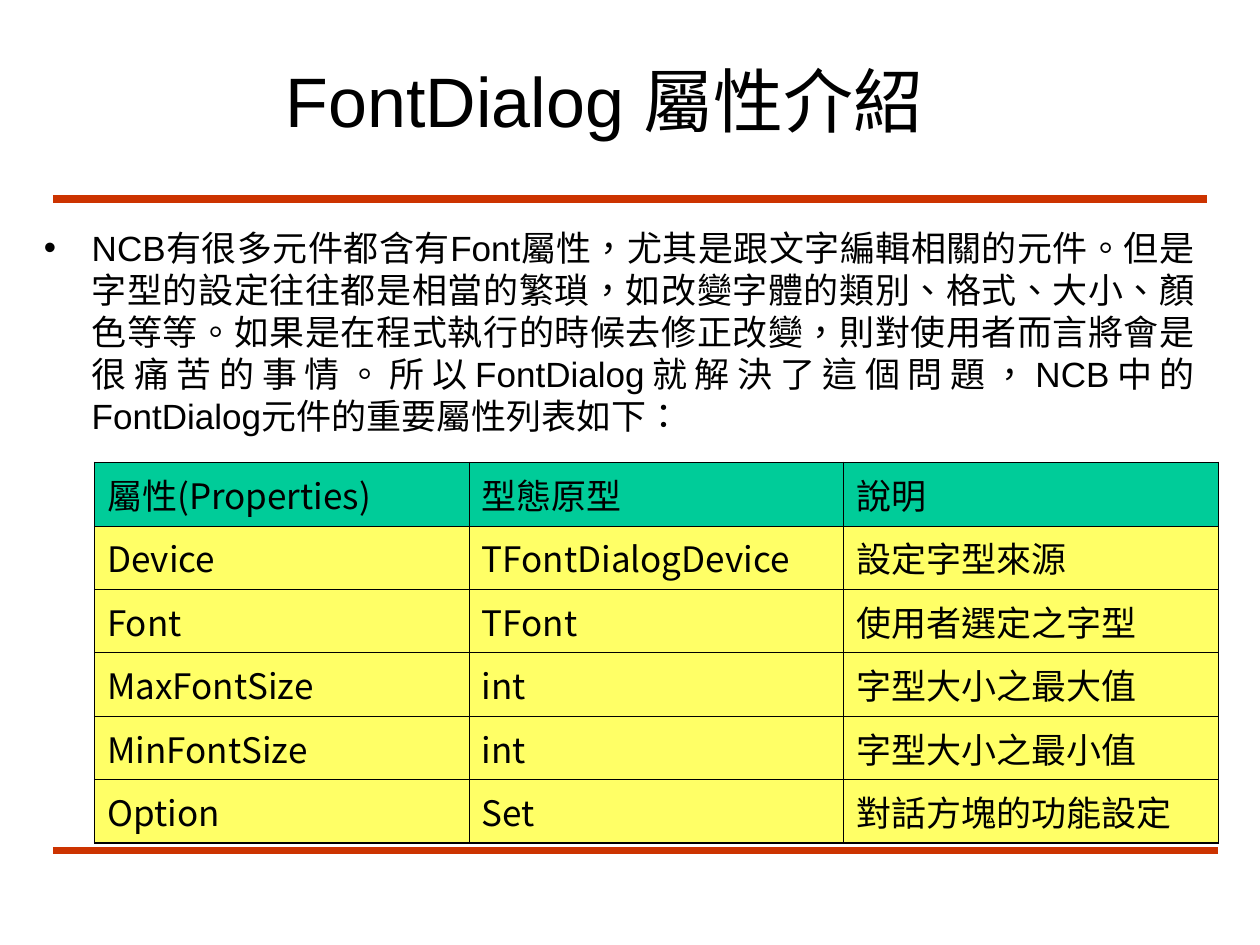
from lxml import etree
from pptx import Presentation
from pptx import util as u
from pptx.dml.color import RGBColor
from pptx.enum import lang, shapes, text
from pptx.oxml.ns import qn

COLORS = {"ink": "000000", "rule": "CC3300", "header": "00CC99", "row": "FFFF66"}
TITLE = "FontDialog 屬性介紹"
INTRO = (
    "NCB有很多元件都含有Font屬性，尤其是跟文字編輯相關的元件。"
    "但是字型的設定往往都是相當的繁瑣，如改變字體的類別、格式、大小、顏色等等。"
    "如果是在程式執行的時候去修正改變，則對使用者而言將會是很痛苦的事情。"
    "所以FontDialog就解決了這個問題，NCB中的FontDialog元件的重要屬性列表如下："
)
PROPERTIES = [
    ("屬性(Properties)", "型態原型", "說明"),
    ("Device", "TFontDialogDevice", "設定字型來源"),
    ("Font", "TFont", "使用者選定之字型"),
    ("MaxFontSize", "int", "字型大小之最大值"),
    ("MinFontSize", "int", "字型大小之最小值"),
    ("Option", "Set", "對話方塊的功能設定"),
]


class SlideBuilder:
    """Holds the style and the current slide, and draws each kind of element."""

    def __init__(self, slide):
        self.slide = slide
        self.text_font = "Arial"
        self.table_font = "Noto Sans CJK SC"
        self.outer_border, self.inner_border = 0.96, 0.34

    def color(self, name):
        return RGBColor.from_string(COLORS[name])

    def add_text(self, paragraph, content, size, font_name):
        run = paragraph.add_run()
        run.text = content
        formats = {
            "name": font_name,
            "size": u.Pt(size),
            "language_id": lang.MSO_LANGUAGE_ID.TRADITIONAL_CHINESE,
        }
        for name, value in formats.items():
            setattr(run.font, name, value)
        run.font.color.rgb = self.color("ink")
        properties = run.font._element
        etree.SubElement(properties, qn("a:ea"), typeface=font_name)

    def rule(self, left, right, top):
        line = self.slide.shapes.add_connector(
            shapes.MSO_CONNECTOR.STRAIGHT,
            u.Inches(left), u.Inches(top), u.Inches(right), u.Inches(top),
        )
        line.line.color.rgb = self.color("rule")
        line.line.width = u.Pt(4.5)
        etree.SubElement(line._element.spPr, qn("a:effectLst"))

    def text_box(self, box, content, size, anchor, alignment):
        shape = self.slide.shapes.add_textbox(*map(u.Inches, box))
        formats = {"word_wrap": True, "vertical_anchor": anchor}
        for name, value in formats.items():
            setattr(shape.text_frame, name, value)
        paragraph = shape.text_frame.paragraphs[0]
        paragraph.alignment = alignment
        self.add_text(paragraph, content, size, self.text_font)
        return paragraph

    def bullet(self, paragraph, indent):
        paragraph.space_before = u.Pt(5)
        properties = paragraph._element.get_or_add_pPr()
        properties.set("marL", str(u.Inches(indent)))
        properties.set("indent", str(u.Inches(-indent)))
        etree.SubElement(properties, qn("a:buFont"), typeface=self.text_font)
        etree.SubElement(properties, qn("a:buChar"), char="•")

    def border(self, cell, edges):
        properties = cell._tc.get_or_add_tcPr()
        for position, (side, is_outer) in enumerate(edges.items()):
            width = self.outer_border if is_outer else self.inner_border
            line = etree.Element(qn(f"a:ln{side}"), w=str(u.Pt(width)))
            fill = etree.SubElement(line, qn("a:solidFill"))
            etree.SubElement(fill, qn("a:srgbClr"), val=COLORS["ink"])
            properties.insert(position, line)

    def table(self, box, rows):
        row_count, column_count = len(rows), len(rows[0])
        table = self.slide.shapes.add_table(
            row_count, column_count, *map(u.Inches, box)
        ).table
        for r, row in enumerate(rows):
            for c, content in enumerate(row):
                cell = table.cell(r, c)
                cell.fill.solid()
                cell.fill.fore_color.rgb = self.color("row" if r else "header")
                self.border(cell, {
                    "L": c == 0,
                    "R": c == column_count - 1,
                    "T": r == 0,
                    "B": r == row_count - 1,
                })
                paragraph = cell.text_frame.paragraphs[0]
                self.add_text(paragraph, content, 20, self.table_font)


def main():
    presentation = Presentation()
    presentation.slide_width = u.Inches(10)
    presentation.slide_height = u.Inches(7.5)
    builder = SlideBuilder(presentation.slides.add_slide(presentation.slide_layouts[6]))
    builder.rule(0.42, 9.58, 1.58)
    builder.rule(0.42, 9.67, 6.75)
    builder.text_box((2.17, 0.33, 6.25, 0.92), TITLE, 40,
                     text.MSO_ANCHOR.MIDDLE, text.PP_ALIGN.LEFT)
    intro = builder.text_box((0.25, 1.75, 9.33, 4.83), INTRO, 20,
                             text.MSO_ANCHOR.TOP, text.PP_ALIGN.JUSTIFY)
    builder.bullet(intro, 0.38)
    builder.table((0.75, 3.67, 8.92, 3.02), PROPERTIES)
    presentation.save("out.pptx")


if __name__ == "__main__":
    main()
